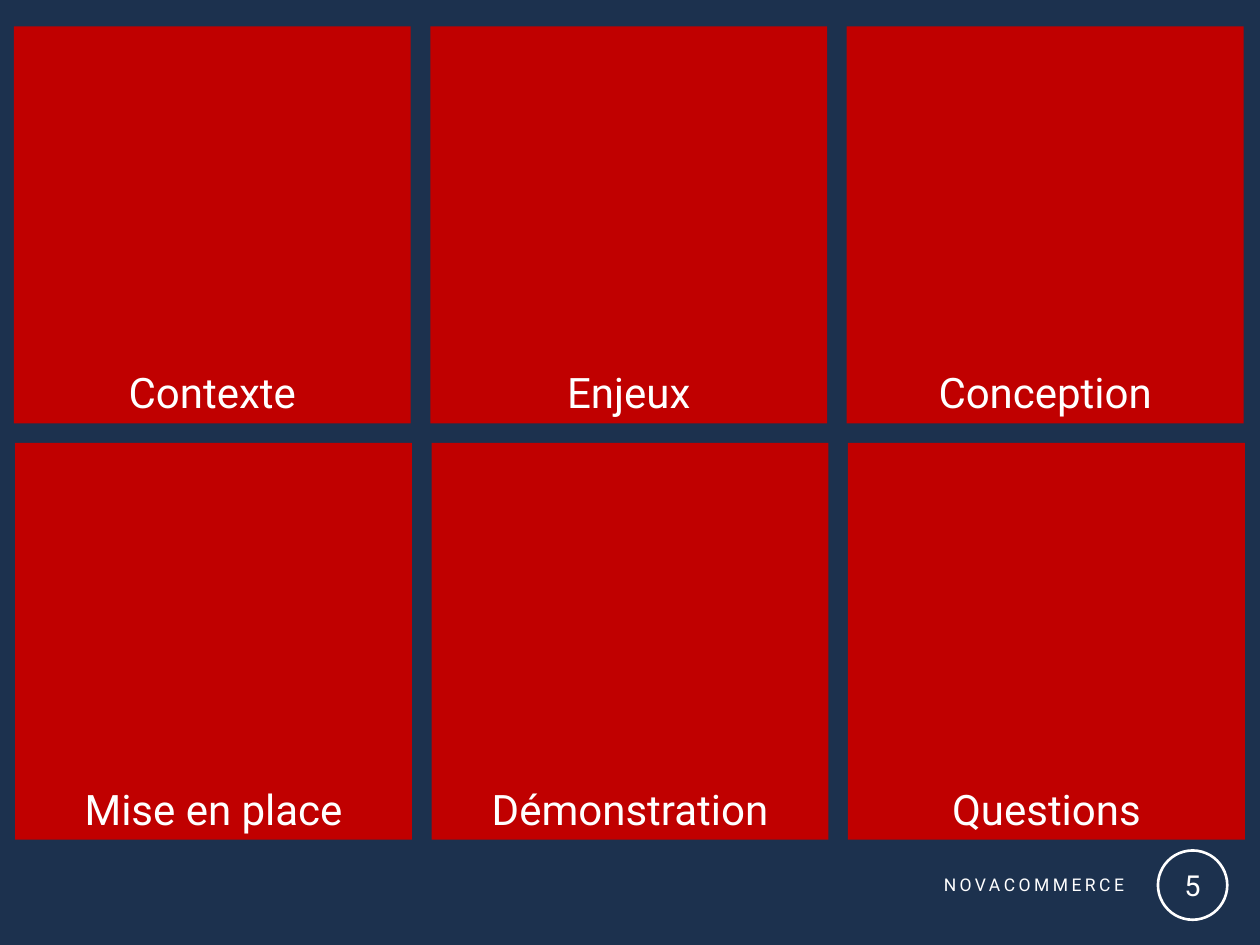
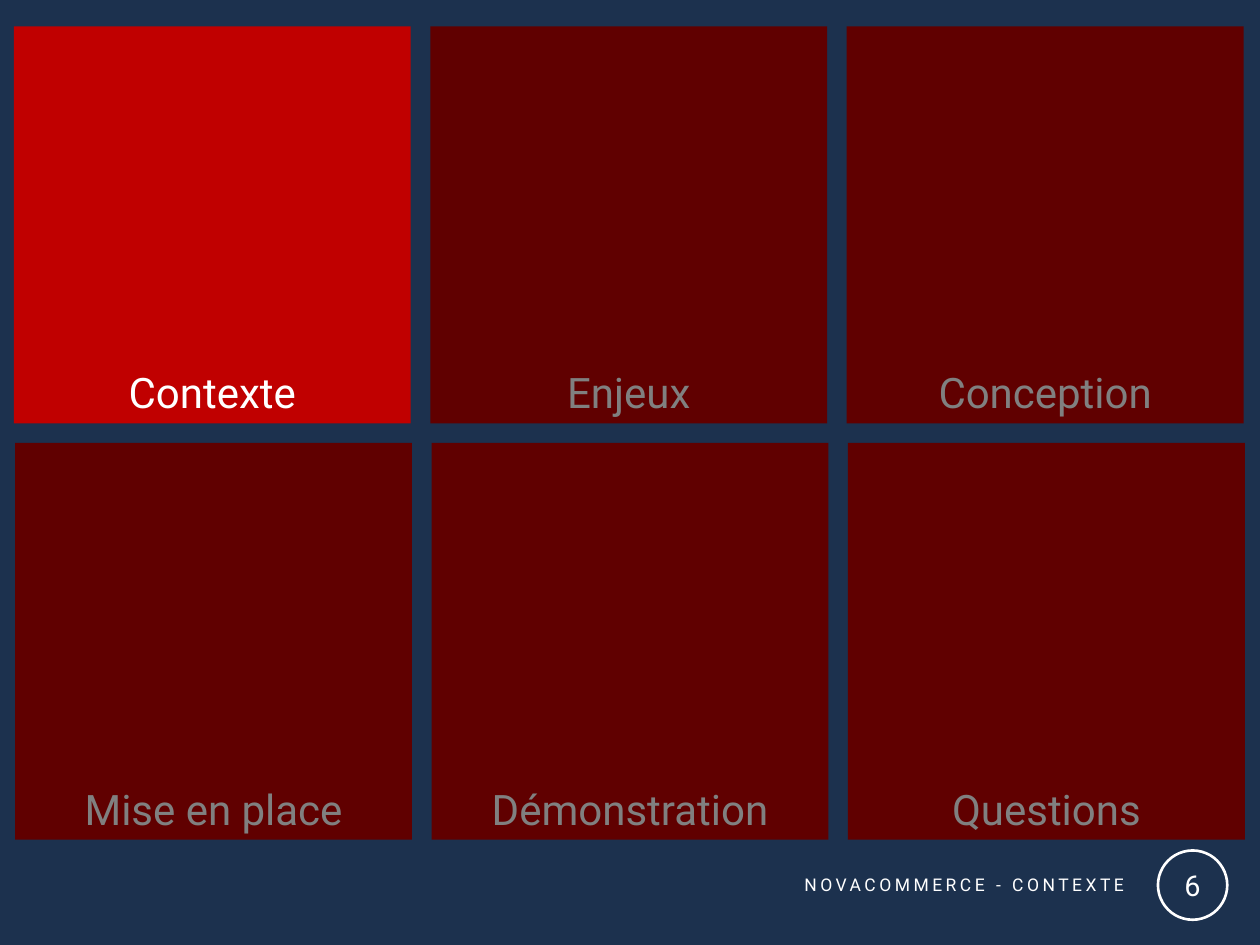
from pptx import Presentation
from pptx.dml.color import RGBColor
from pptx.enum import shapes, text
from pptx.util import Inches, Pt

TOPICS = ["Contexte", "Enjeux", "Conception",
          "Mise en place", "Démonstration", "Questions"]
NAME = "NOVACOMMERCE"
# Page number, footer, lit topics
PAGES = [
    (5, NAME, TOPICS),
    (6, f"{NAME} - CONTEXTE", ["Contexte"]),
]

COLORS = {"navy": "1C314E", "red": "C00000", "dark": "600000",
          "white": "FFFFFF", "grey": "808080"}
FONT = "Roboto"
WIDTH, HEIGHT = 10, 7.5
COLS = 3
LEFT, TOP = 0.11, 0.21
SIDE, STEP = 3.15, 3.305
SHIFT = 0.01  # the lower row sits slightly to the right

KIND = shapes.MSO_SHAPE
ANCHOR = text.MSO_ANCHOR
ALIGN = text.PP_ALIGN


def color(name):
    return RGBColor.from_string(COLORS[name])


def write(shape, words, size, tint="white", anchor=ANCHOR.MIDDLE,
          align=ALIGN.CENTER):
    frame = shape.text_frame
    frame.word_wrap = True
    frame.vertical_anchor = anchor
    frame.text = words
    para = frame.paragraphs[0]
    para.alignment = align
    run = para.runs[0]
    run.font.name = FONT
    run.font.size = Pt(size)
    run.font.color.rgb = color(tint)
    return run


def add_box(slide, kind, box, fill=None):
    """Add a shape without outline or shadow, filled or see-through."""
    shape = slide.shapes.add_shape(kind, *map(Inches, box))
    shape.shadow.inherit = False
    shape.line.fill.background()
    if fill:
        shape.fill.solid()
        shape.fill.fore_color.rgb = color(fill)
    else:
        shape.fill.background()
    return shape


def add_tiles(slide, lit):
    for i, topic in enumerate(TOPICS):
        row, col = divmod(i, COLS)
        box = (LEFT + col * STEP + row * SHIFT, TOP + row * STEP, SIDE, SIDE)
        fill, tint = ("red", "white") if topic in lit else ("dark", "grey")
        tile = add_box(slide, KIND.RECTANGLE, box, fill)
        write(tile, topic, 24, tint, ANCHOR.BOTTOM)


def add_footer(slide, number, words):
    label = slide.shapes.add_textbox(*map(Inches, (3.85, 6.87, 5.17, 0.3)))
    run = write(label, words, 10, align=ALIGN.RIGHT)
    run.font._element.set("spc", "200")

    badge = add_box(slide, KIND.OVAL, (9.19, 6.75, 0.55, 0.55))
    badge.line.color.rgb = color("white")
    badge.line.width = Pt(1.5)
    frame = badge.text_frame
    frame.margin_left = frame.margin_right = Inches(0.01)
    frame.margin_top = frame.margin_bottom = Inches(0.01)
    write(badge, str(number), 16.5)


def main():
    deck = Presentation()
    deck.slide_width, deck.slide_height = Inches(WIDTH), Inches(HEIGHT)
    for number, words, lit in PAGES:
        slide = deck.slides.add_slide(deck.slide_layouts[6])
        add_box(slide, KIND.RECTANGLE, (0, 0, WIDTH, HEIGHT), "navy")
        add_tiles(slide, lit)
        add_footer(slide, number, words)
    deck.save("out.pptx")


if __name__ == "__main__":
    main()
